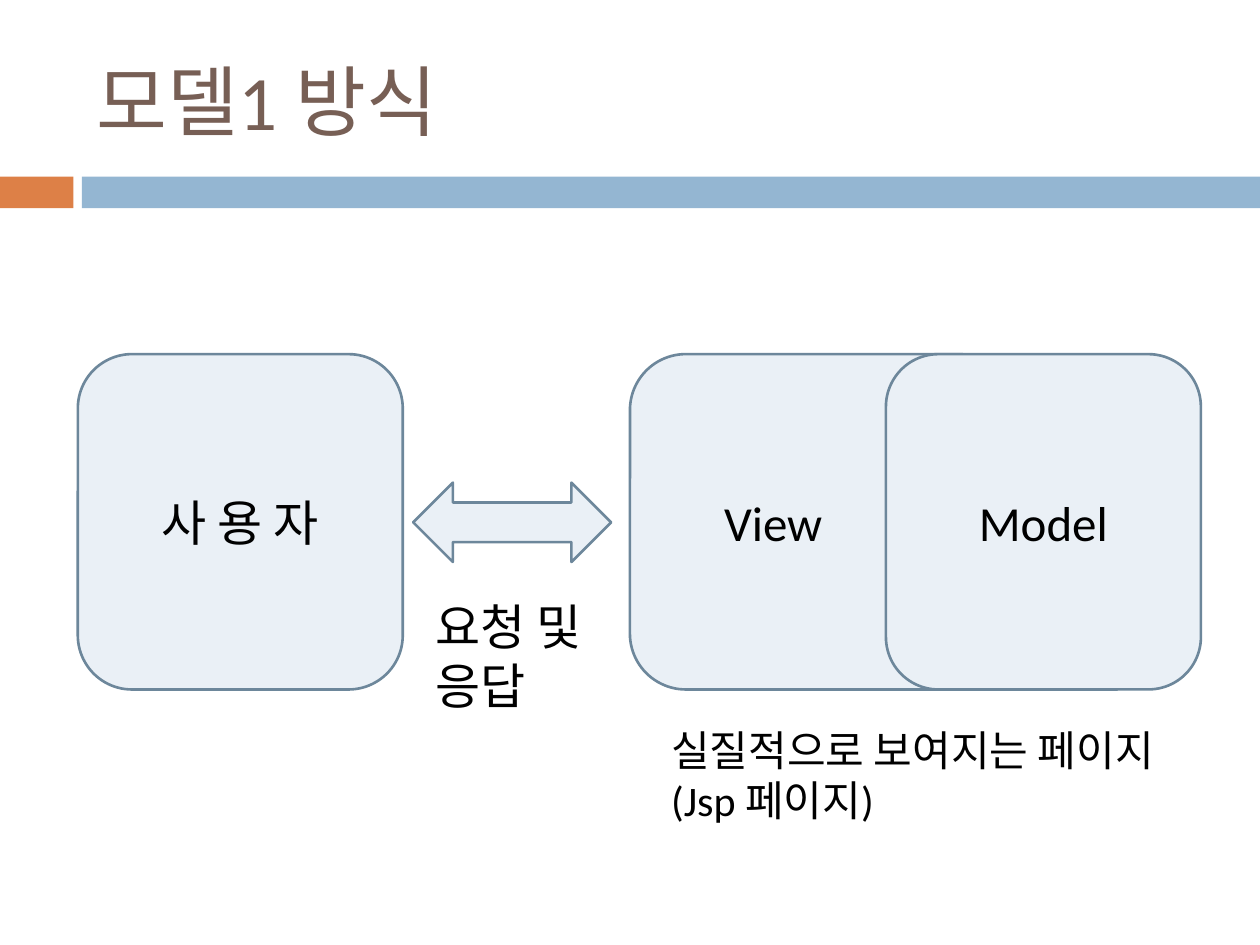
import dataclasses

import pptx
import pptx.dml.color
import pptx.enum.shapes
import pptx.enum.text
import pptx.util
from pptx.util import Cm

SHAPES = pptx.enum.shapes.MSO_SHAPE
ALIGN = pptx.enum.text.PP_ALIGN
ANCHOR = pptx.enum.text.MSO_ANCHOR


@dataclasses.dataclass(frozen=True)
class Theme:
    font: str = "Calibri"
    title: str = "775F55"
    text: str = "000000"
    accent: str = "DD8047"
    band: str = "94B6D2"
    fill: str = "EAF0F6"
    line: str = "6D879B"
    title_size: int = 44
    body_size: int = 28
    caption_size: int = 24
    line_width: float = 1.5


THEME = Theme()


def rgb(value):
    return pptx.dml.color.RGBColor.from_string(value)


def write_text(shape, text, size=THEME.body_size, color=THEME.text,
               align=ALIGN.LEFT, anchor=ANCHOR.MIDDLE, indent=None):
    frame = shape.text_frame
    frame.word_wrap = True
    frame.auto_size = pptx.enum.text.MSO_AUTO_SIZE.NONE
    frame.vertical_anchor = anchor
    if indent is not None:
        frame.margin_left = indent
    paragraph = frame.paragraphs[0]
    paragraph.alignment = align
    run = paragraph.add_run()
    run.text = text
    run.font.name = THEME.font
    run.font.size = pptx.util.Pt(size)
    run.font.color.rgb = rgb(color)


def add_block(slide, kind, left, top, width, height, fill=THEME.fill, line=THEME.line):
    shape = slide.shapes.add_shape(kind, left, top, width, height)
    shape.shadow.inherit = False
    shape.fill.solid()
    shape.fill.fore_color.rgb = rgb(fill)
    if line:
        shape.line.color.rgb = rgb(line)
        shape.line.width = pptx.util.Pt(THEME.line_width)
    else:
        shape.line.fill.background()
    return shape


def add_header(slide, text):
    for left, width, color in ((0, 1.48, THEME.accent), (1.65, 23.75, THEME.band)):
        add_block(slide, SHAPES.RECTANGLE, Cm(left), Cm(3.56), Cm(width), Cm(0.64),
                  fill=color, line=None)
    title = slide.shapes.title
    title.left, title.top = Cm(1.7), Cm(0.64)
    title.width, title.height = Cm(22.66), Cm(2.74)
    write_text(title, text, size=THEME.title_size, color=THEME.title)


def add_component(slide, text, left, width, **text_format):
    shape = add_block(slide, SHAPES.ROUNDED_RECTANGLE,
                      Cm(left), Cm(7.14), Cm(width), Cm(6.76))
    write_text(shape, text, **text_format)


def add_caption(slide, text, left, top, width, height, **text_format):
    box = slide.shapes.add_textbox(Cm(left), Cm(top), Cm(width), Cm(height))
    write_text(box, text, anchor=ANCHOR.TOP, **text_format)


def main():
    presentation = pptx.Presentation()
    presentation.slide_width, presentation.slide_height = Cm(25.4), Cm(19.05)
    slide = presentation.slides.add_slide(presentation.slide_layouts[5])

    # Title and band
    add_header(slide, "모델1 방식")

    # Components: Model overlaps View
    add_component(slide, "사 용 자", 1.57, 6.55, align=ALIGN.CENTER)
    add_component(slide, "View", 12.7, 7.75, indent=Cm(1.57))
    add_component(slide, "Model", 17.86, 6.35, align=ALIGN.CENTER)

    # Request and response
    add_block(slide, SHAPES.LEFT_RIGHT_ARROW, Cm(8.33), Cm(9.73), Cm(3.99), Cm(1.6))
    add_caption(slide, "요청 및 응답", 8.53, 11.91, 3.84, 1.45)

    # Explanation of the view
    add_caption(slide, "실질적으로 보여지는 페이지 (Jsp 페이지)", 13.28, 14.48, 10.24, 1.27,
                size=THEME.caption_size)

    presentation.save("out.pptx")


if __name__ == "__main__":
    main()
